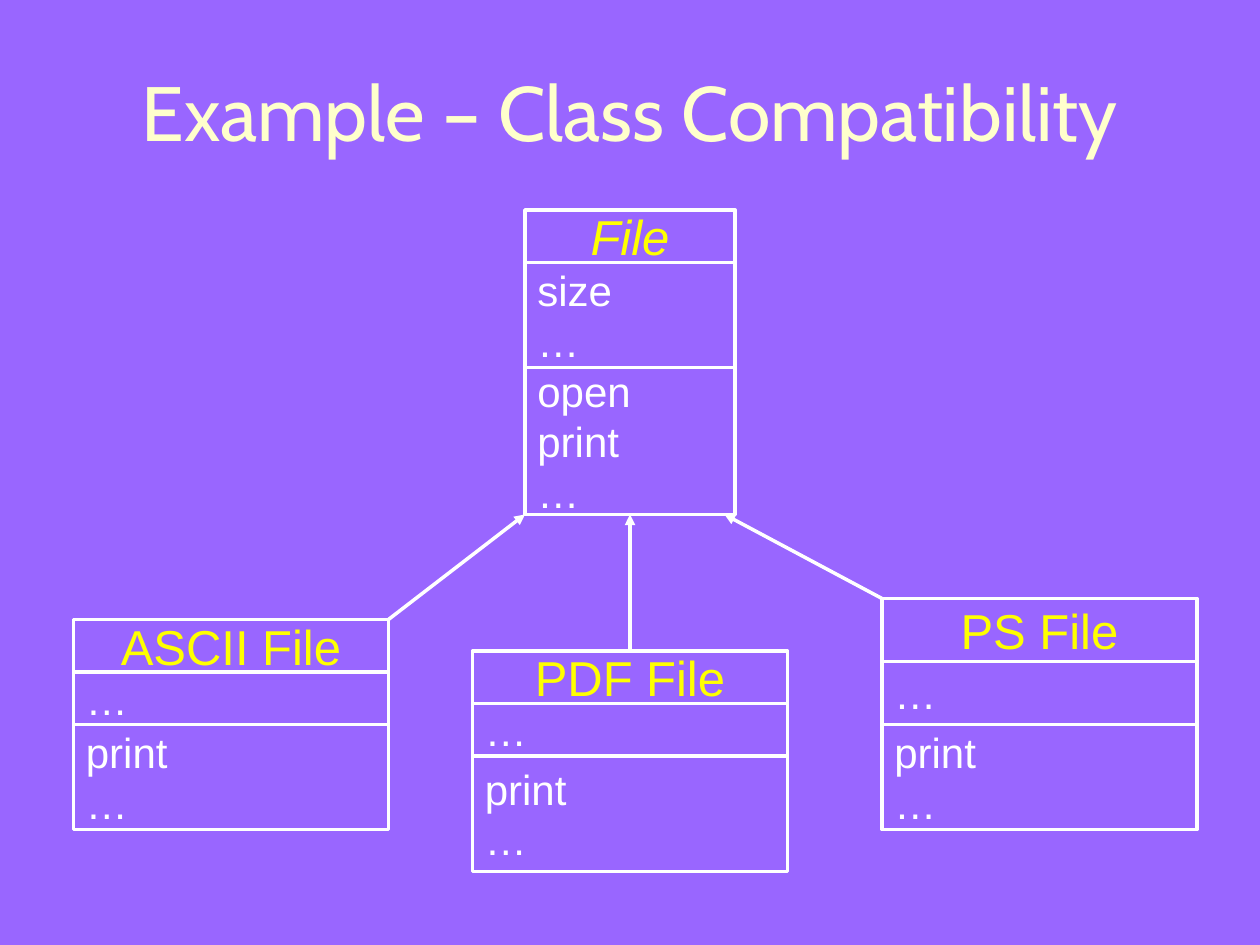
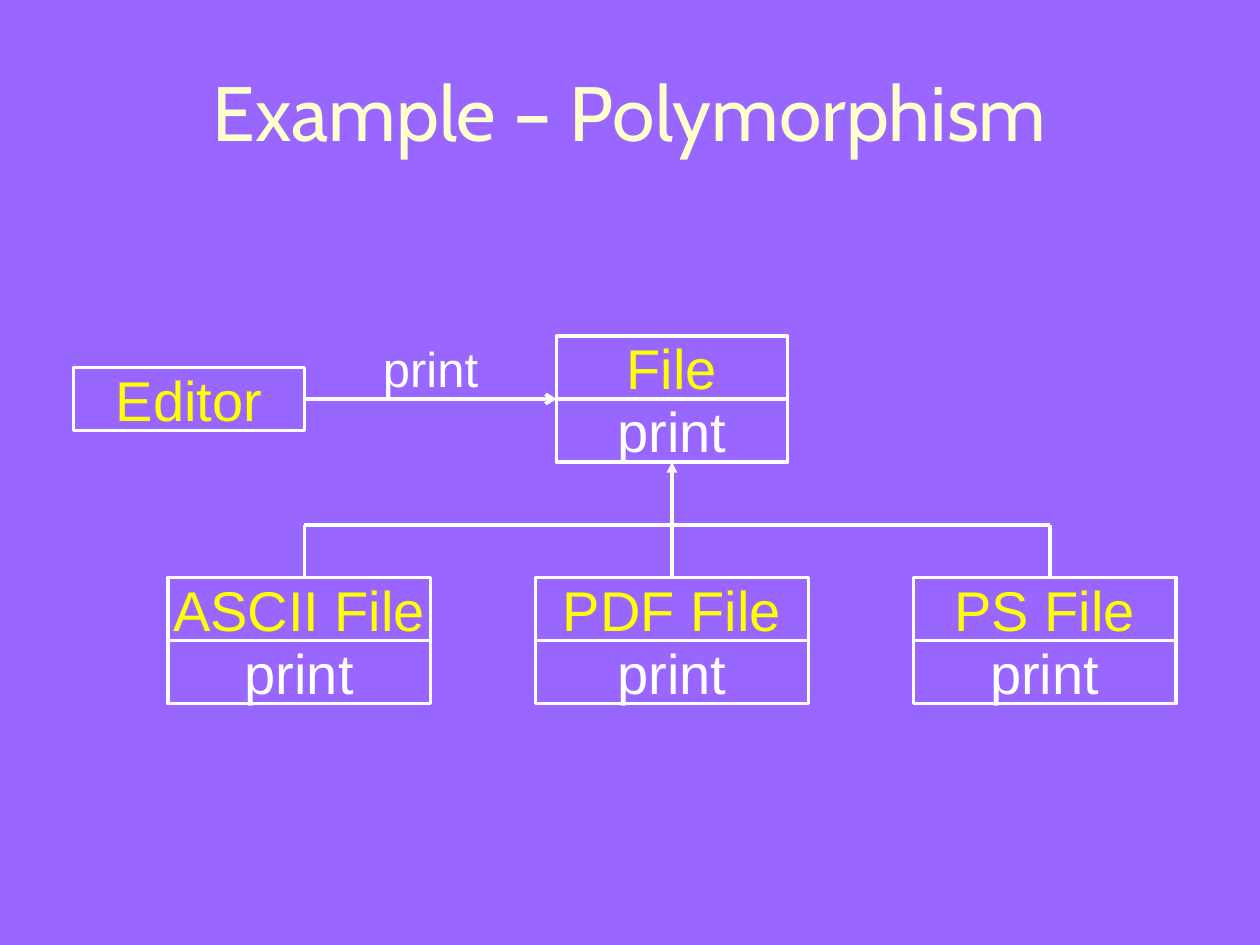
from dataclasses import dataclass

from lxml.etree import SubElement
from pptx import Presentation
from pptx.dml.color import RGBColor
from pptx.enum.shapes import MSO_CONNECTOR as Link, MSO_SHAPE as Shape
from pptx.enum.text import MSO_ANCHOR as Anchor, PP_ALIGN as Align
from pptx.oxml.ns import qn
from pptx.util import Inches, Pt

VIOLET = RGBColor(0x99, 0x66, 0xFF)
CREAM = RGBColor(0xFF, 0xFF, 0xCC)
YELLOW = RGBColor(0xFF, 0xFF, 0x00)
WHITE = RGBColor(0xFF, 0xFF, 0xFF)

COLS, ROWS = 120, 90  # the slide as a grid of square cells
CELL = Inches(10) // COLS
TOP, LEFT, BOTTOM, RIGHT = range(4)


@dataclass
class Row:
    height: int
    text: str


@dataclass
class Box:
    """A class diagram box: the class name in the first row, members below."""
    left: int
    top: int
    width: int
    rows: list[Row]
    italic: bool = False


@dataclass
class Style:
    name_size: int
    member_size: int
    member_align: Align


@dataclass
class Line:
    start: tuple[int, int]
    end: tuple[int, int]
    head: str = ""
    start_join: tuple | None = None
    end_join: tuple | None = None


DETAIL = Style(28, 24, Align.LEFT)
BRIEF = Style(32, 32, Align.CENTER)


def write(shape, text: str, size: int, color: RGBColor, font: str = "Arial",
          align: Align = Align.CENTER, italic: bool = False) -> None:
    frame = shape.text_frame
    frame.text = text
    frame.word_wrap = align == Align.LEFT
    frame.vertical_anchor = Anchor.MIDDLE
    for para in frame.paragraphs:
        para.alignment = align
        para.font.name = font
        para.font.size = Pt(size)
        para.font.color.rgb = color
        para.font.italic = italic


def add_label(slide, left: float, top: float, width: float, height: float,
              text: str, size: int, color: RGBColor, font: str = "Arial") -> None:
    area = [int(n * CELL) for n in (left, top, width, height)]
    write(slide.shapes.add_textbox(*area), text, size, color, font)


def add_page(deck, title: str):
    slide = deck.slides.add_slide(deck.slide_layouts[6])
    slide.background.fill.solid()
    slide.background.fill.fore_color.rgb = VIOLET
    add_label(slide, 4, 3, COLS - 8, 15, title, 44, CREAM, "Cabin")
    return slide


def add_box(slide, box: Box, style: Style) -> list:
    """Stack the rows of a box and return their shapes from the top down."""
    shapes, top = [], box.top
    for row in box.rows:
        area = [n * CELL for n in (box.left, top, box.width, row.height)]
        shape = slide.shapes.add_shape(Shape.RECTANGLE, *area)
        shape.shadow.inherit = False
        shape.fill.background()
        shape.line.color.rgb = WHITE
        shape.line.width = Pt(2)
        if shapes:
            write(shape, row.text, style.member_size, WHITE, align=style.member_align)
        else:
            write(shape, row.text, style.name_size, YELLOW, italic=box.italic)
        shapes.append(shape)
        top += row.height
    return shapes


def add_line(slide, line: Line) -> None:
    ends = [n * CELL for n in (*line.start, *line.end)]
    link = slide.shapes.add_connector(Link.STRAIGHT, *ends)
    link.line.color.rgb = WHITE
    link.line.width = Pt(2)
    if line.head:
        SubElement(link.line._get_or_add_ln(), qn("a:tailEnd"), type=line.head)
    SubElement(link._element.spPr, qn("a:effectLst"))
    if line.start_join:
        link.begin_connect(*line.start_join)
    if line.end_join:
        link.end_connect(*line.end_join)


def draw_classes(deck) -> None:
    slide = add_page(deck, "Example – Class Compatibility")
    boxes = [
        Box(50, 20, 20, [Row(5, "File"), Row(10, "size\n…"),
                         Row(14, "open\nprint\n…")], italic=True),
        Box(7, 59, 30, [Row(5, "ASCII File"), Row(5, "…"), Row(10, "print\n…")]),
        Box(45, 62, 30, [Row(5, "PDF File"), Row(5, "…"), Row(11, "print\n…")]),
        Box(84, 57, 30, [Row(6, "PS File"), Row(6, "…"), Row(10, "print\n…")]),
    ]
    base, _, pdf, _ = [add_box(slide, box, DETAIL) for box in boxes]
    for line in (
        Line((60, 62), (60, 49), "triangle", (pdf[0], TOP), (base[-1], BOTTOM)),
        Line((37, 59), (50, 49), "triangle"),
        Line((84, 57), (69, 49), "triangle"),
    ):
        add_line(slide, line)


def draw_calls(deck) -> None:
    slide = add_page(deck, "Example – Polymorphism")

    def pair(left: int, top: int, width: int, name: str) -> list:
        rows = [Row(6, name), Row(6, "print")]
        return add_box(slide, Box(left, top, width, rows), BRIEF)

    base = pair(53, 32, 22, "File")
    pair(16, 55, 25, "ASCII File")
    pdf = pair(51, 55, 26, "PDF File")
    pair(87, 55, 25, "PS File")
    editor = add_box(slide, Box(7, 35, 22, [Row(6, "Editor")]), BRIEF)
    add_label(slide, 30, 32, 22, 6, "print", 28, WHITE)

    first, mid, last, rail, top = 29, 64, 100, 50, 55
    for line in (
        Line((mid, rail), (mid, 44), "triangle", end_join=(base[-1], BOTTOM)),
        Line((first, rail), (last, rail)),
        Line((first, rail), (first, top)),
        Line((mid, rail), (mid, top), end_join=(pdf[0], TOP)),
        Line((last, rail), (last, top)),
        Line((29, 38), (53, 38), "arrow", start_join=(editor[0], RIGHT)),
    ):
        add_line(slide, line)


def main() -> None:
    deck = Presentation()
    deck.slide_width, deck.slide_height = COLS * CELL, ROWS * CELL
    draw_classes(deck)
    draw_calls(deck)
    deck.save("out.pptx")


if __name__ == "__main__":
    main()
